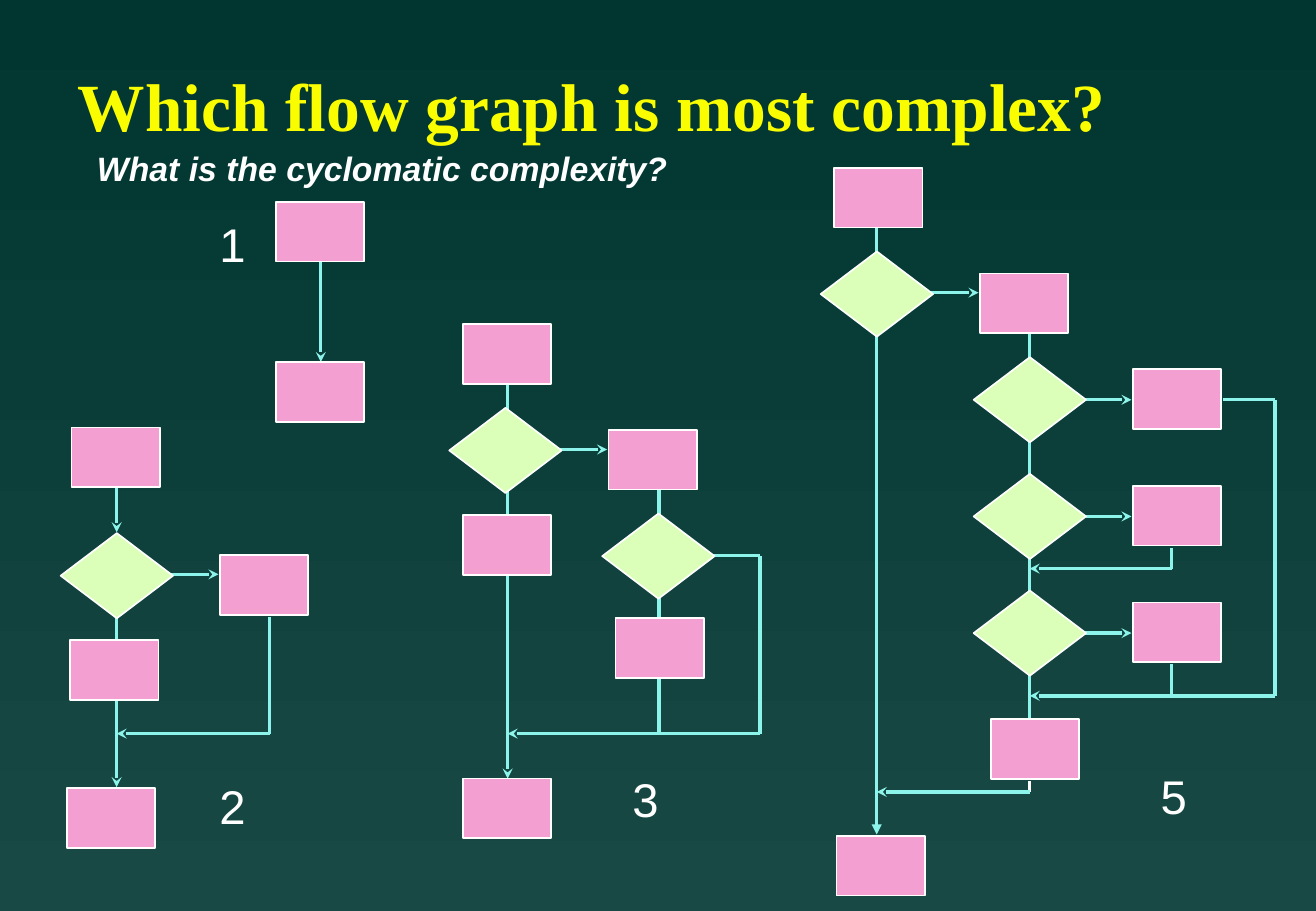
from dataclasses import dataclass
from itertools import pairwise

from lxml.etree import SubElement
from pptx import Presentation
from pptx.dml.color import RGBColor
from pptx.enum.shapes import MSO_CONNECTOR, MSO_SHAPE
from pptx.enum.text import MSO_ANCHOR, PP_ALIGN
from pptx.oxml.ns import qn
from pptx.util import Cm, Pt


@dataclass(frozen=True)
class Theme:
    background_top: str = "003530"
    background_bottom: str = "194944"
    title: str = "FAFD00"
    text: str = "FFFFFF"
    outline: str = "FFFFFF"
    process: str = "F39FD1"
    decision: str = "DBFFB8"
    flow: str = "8CF4EA"
    title_font: str = "Times New Roman"
    body_font: str = "Arial"
    title_size: int = 40
    label_size: int = 28
    subtitle_size: int = 20
    outline_width: int = 1
    flow_width: int = 2


class FlowGraphSlide:
    def __init__(self, presentation, theme):
        self.theme = theme
        self.slide = presentation.slides.add_slide(presentation.slide_layouts[5])
        self.graph = None

    def background(self):
        fill = self.slide.background.fill
        fill.gradient()
        fill.gradient_angle = 270
        colors = (self.theme.background_top, self.theme.background_bottom)
        for stop, color in zip(fill.gradient_stops, colors):
            stop.color.rgb = RGBColor.from_string(color)

    def format_text(self, shape, text, font_name, size, color, bold=False, italic=False):
        shape.text_frame.text = text
        paragraph = shape.text_frame.paragraphs[0]
        paragraph.alignment = PP_ALIGN.LEFT
        font = paragraph.runs[0].font
        font.name, font.size = font_name, Pt(size)
        font.bold, font.italic = bold, italic
        font.color.rgb = RGBColor.from_string(color)
        return paragraph

    def title(self, text, left, top, width, height):
        shape = self.slide.shapes.title
        shape.left, shape.top = Cm(left), Cm(top)
        shape.width, shape.height = Cm(width), Cm(height)
        shape.text_frame.vertical_anchor = MSO_ANCHOR.MIDDLE
        paragraph = self.format_text(shape, text, self.theme.title_font,
                                     self.theme.title_size, self.theme.title, bold=True)
        paragraph.line_spacing = 0.85

    def label(self, text, left, top, width=1.04, height=1.45, size=None, emphasis=False):
        shape = self.slide.shapes.add_textbox(Cm(left), Cm(top), Cm(width), Cm(height))
        shape.text_frame.word_wrap = False
        self.format_text(shape, text, self.theme.body_font, size or self.theme.label_size,
                         self.theme.text, bold=emphasis, italic=emphasis)

    def start_graph(self):
        self.graph = self.slide.shapes.add_group_shape()

    def node(self, kind, left, top, width, height, color):
        shape = self.graph.shapes.add_shape(kind, Cm(left), Cm(top), Cm(width), Cm(height))
        shape.shadow.inherit = False
        shape.fill.solid()
        shape.fill.fore_color.rgb = RGBColor.from_string(color)
        shape.line.color.rgb = RGBColor.from_string(self.theme.outline)
        shape.line.width = Pt(self.theme.outline_width)

    def processes(self, *corners):
        for left, top in corners:
            self.node(MSO_SHAPE.RECTANGLE, left, top, 1.85, 1.25, self.theme.process)

    def decisions(self, *corners):
        for left, top in corners:
            self.node(MSO_SHAPE.DIAMOND, left, top, 2.35, 1.78, self.theme.decision)

    def flow(self, *points, head=None, color=None):
        """Join the points by straight lines; the last one may carry a head."""
        for start, end in pairwise(points):
            connector = self.graph.shapes.add_connector(
                MSO_CONNECTOR.STRAIGHT, Cm(start[0]), Cm(start[1]), Cm(end[0]), Cm(end[1]))
            connector.line.color.rgb = RGBColor.from_string(color or self.theme.flow)
            connector.line.width = Pt(self.theme.flow_width)
            properties = connector._element.spPr
            if head and end == points[-1]:
                SubElement(properties.find(qn("a:ln")), qn("a:tailEnd"), type=head)
            SubElement(properties, qn("a:effectLst"))

    def arrow(self, *points):
        self.flow(*points, head="stealth")


def sequence_graph(page):
    page.start_graph()
    page.arrow((6.71, 5), (6.71, 7.57))
    page.processes((5.77, 4.22), (5.77, 7.57))


def single_decision_graph(page):
    trunk = 2.44
    page.start_graph()
    page.arrow((trunk, 9.7), (trunk, 11.13))
    page.arrow((trunk, 12.9), (trunk, 16.46))
    page.arrow((3.2, 12.01), (4.57, 12.01))
    page.arrow((5.64, 12.9), (5.64, 15.34), (trunk, 15.34))
    page.processes((1.5, 8.94), (4.6, 11.61), (1.47, 13.39), (1.4, 16.48))
    page.decisions((1.27, 11.15))


def nested_decision_graph(page):
    trunk, branch, merge = 10.62, 13.79, 15.34
    page.start_graph()
    page.flow((branch, 9.98), (branch, merge))
    page.arrow((trunk, 7.8), (trunk, 16.28))
    page.arrow((11.33, 9.4), (12.7, 9.4))
    page.arrow((14.33, 11.62), (15.9, 11.62), (15.9, merge), (trunk, merge))
    page.processes((9.68, 6.78), (12.73, 8.99), (9.68, 10.77), (12.88, 12.93), (9.68, 16.28))
    page.decisions((9.4, 8.53), (12.6, 10.74))


def chained_decision_graph(page):
    trunk, branch, side, outer, merge = 18.34, 21.54, 24.51, 26.67, 14.55
    row_offsets = [row * 2.44 for row in range(3)]
    page.start_graph()
    # Main paths
    page.flow((branch, 6.58), (branch, 15.01))
    page.flow((trunk, 4.6), (trunk, 17.45), head="triangle")
    page.arrow((19.1, 6.12), (20.47, 6.12))
    # Returns to the branch and the trunk
    page.arrow((side, 11.46), (side, 11.89), (branch, 11.89))
    page.arrow((25.58, 8.36), (outer, 8.36), (outer, merge), (branch, merge))
    page.flow((side, 13.89), (side, merge))
    page.flow((branch, 16.33), (branch, 16.56), color=page.theme.outline)
    page.arrow((branch, 16.56), (trunk, 16.56))
    # Three equal test rows
    for offset in row_offsets:
        page.arrow((22.2, 8.36 + offset), (23.67, 8.36 + offset))
        page.processes((23.7, 7.72 + offset))
        page.decisions((20.37, 7.47 + offset))
    page.processes((17.45, 3.51), (20.5, 5.72), (20.73, 15.04), (17.5, 17.48))
    page.decisions((17.17, 5.26))


def main():
    presentation = Presentation()
    presentation.slide_width, presentation.slide_height = Cm(27.53), Cm(19.05)
    theme = Theme()
    page = FlowGraphSlide(presentation, theme)
    page.background()
    page.title("Which flow graph is most complex?", 1.37, 1.47, 23.39, 1.7)

    # Flow graphs
    chained_decision_graph(page)
    sequence_graph(page)
    nested_decision_graph(page)
    single_decision_graph(page)

    # Complexity values and question
    page.label("1", 4.34, 4.37)
    page.label("2", 4.34, 16.13)
    page.label("3", 12.98, 15.98)
    page.label("5", 24.03, 15.93)
    page.label("What is the cyclomatic complexity?", 1.78, 2.97, 12.45, 1.12,
               size=theme.subtitle_size, emphasis=True)

    presentation.save("out.pptx")


if __name__ == "__main__":
    main()
